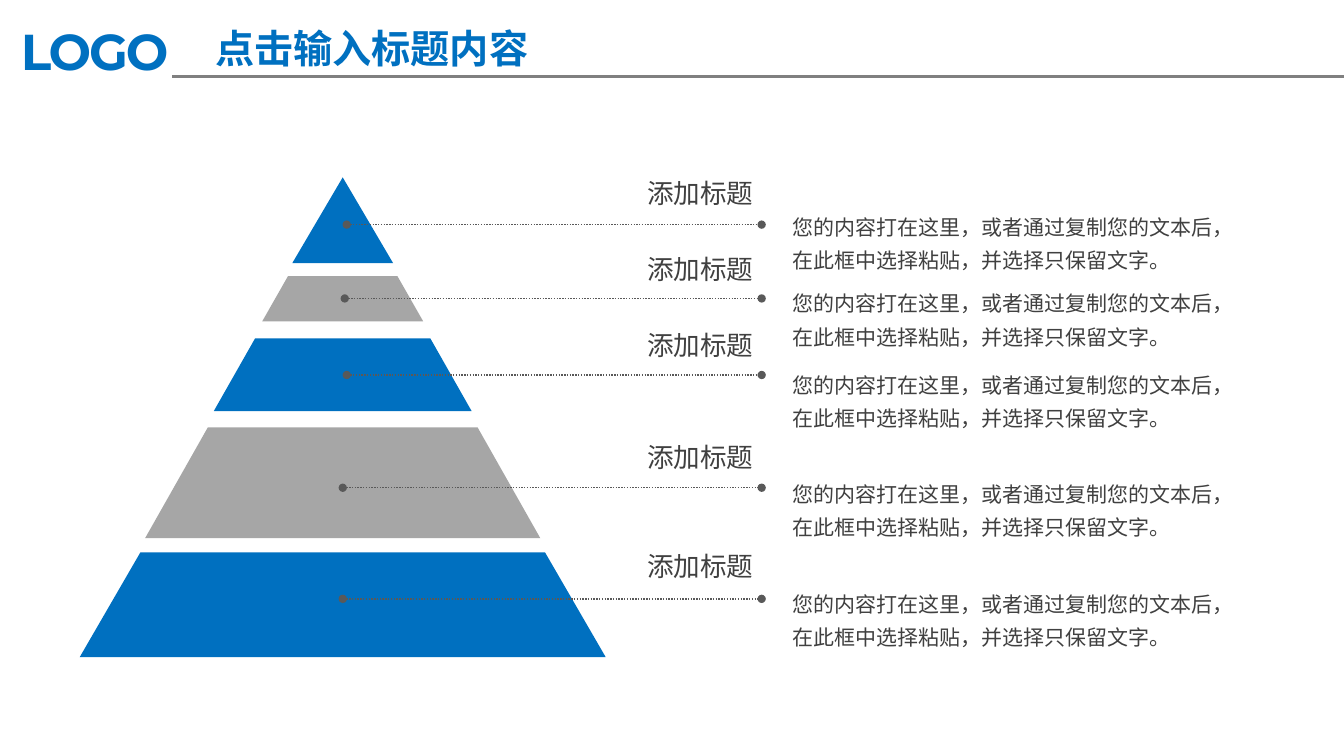
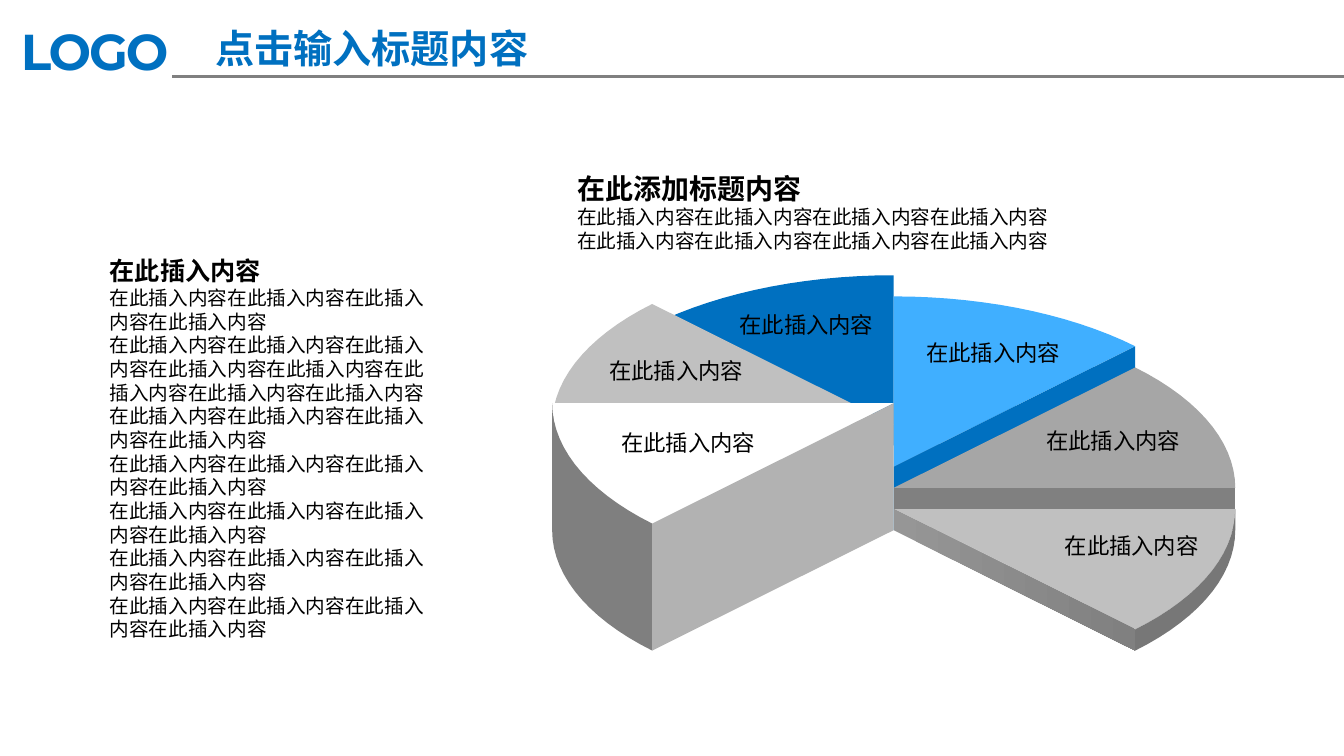
from math import cos, radians, sin

from lxml.etree import SubElement
from pptx import Presentation
from pptx.dml.color import RGBColor
from pptx.enum.dml import MSO_LINE
from pptx.enum.shapes import MSO_CONNECTOR, MSO_SHAPE
from pptx.enum.text import MSO_AUTO_SIZE, PP_ALIGN
from pptx.oxml.ns import qn
from pptx.util import Cm, Pt

# Shared style
SANS = "Noto Sans CJK SC"
BLUE, GREY, DARK, BLACK = "0070C0", "A6A6A6", "404040", "000000"
WIDE, HIGH = 33.88, 19.05
TITLE = "点击输入标题内容"

# Pyramid content: top, bottom, half width at top and bottom, (cm)
# then line start and height, label top, note top
LABEL = "添加标题"
NOTE = "您的内容打在这里，或者通过复制您的文本后，在此框中选择粘贴，并选择只保留文字。"
MID = 8.64
TIERS = [
    (4.47, 6.63, 0, 1.27, 8.74, 5.66, 4.32, 5.08),
    (6.96, 8.10, 1.38, 2.03, 8.69, 7.52, 6.25, 7.01),
    (8.53, 10.36, 2.21, 3.25, 8.74, 9.45, 8.15, 9.07),
    (10.77, 13.56, 3.40, 4.98, 8.64, 12.29, 10.97, 11.81),
    (13.92, 16.56, 5.10, 6.63, 8.64, 15.09, 13.72, 14.58),
]

# Stair pie content, from the highest slice to the lowest:
# top colour, side wall (colour and angle), rim colour, label centre and top
ITEM = "在此插入内容"
SLICES = [
    ("FFFFFF", ("B2B2B2", 225), "7F7F7F", 17.35, 10.67),
    ("C0C0C0", None, None, 17.05, 8.86),
    (BLUE, None, None, 20.33, 7.72),
    ("40AFFF", (BLUE, 45), None, 25.04, 8.41),
    (GREY, ("808080", 0), None, 28.06, 10.62),
    ("C0C0C0", (("969696", "808080"), -45), "777777", 28.53, 13.28),
]
PIE_X, RAD_X, RAD_Y = 22.53, 8.61, 4.29
PEAK, BASE, TURN = 10.16, 13.36, 45
HEAD = "在此添加标题内容"
HEAD_ROWS = [ITEM * 4] * 2
SIDE_ROWS = [ITEM * n for n in (4, 8, 4, 4, 4, 4, 4)]


def tint(code):
    return RGBColor.from_string(code)


def write(frame, *lines, size=16, color=BLACK, bold=False, font=SANS,
          align=PP_ALIGN.LEFT, lead=1, track=None):
    """Add each line as a paragraph, filling the empty first one."""
    for line in lines:
        para = frame.paragraphs[0]
        if para.runs:
            para = frame.add_paragraph()
        para.alignment = align
        para.line_spacing = Pt(round(size * 1.21 * lead, 1))
        para.space_before = Pt(0)
        run = para.add_run()
        run.text = line
        run.font.size = Pt(size)
        run.font.bold = bold
        run.font.name = font
        run.font.color.rgb = tint(color)
        props = run._r.get_or_add_rPr()
        SubElement(props, qn("a:ea")).set("typeface", font)
        if track:
            props.set("spc", str(track))


def place(shape, left, top, width, height):
    shape.left, shape.top = Cm(left), Cm(top)
    shape.width, shape.height = Cm(width), Cm(height)


def box(slide, left, top, width, height, wrap=True):
    shape = slide.shapes.add_textbox(Cm(left), Cm(top), Cm(width), Cm(height))
    shape.text_frame.word_wrap = wrap
    return shape


def paint(shape, fill):
    """Fill with one colour, or with a left-to-right pair."""
    shape.shadow.inherit = False
    shape.line.fill.background()
    if isinstance(fill, tuple):
        shape.fill.gradient()
        shape.fill.gradient_angle = 0
        for stop, code in zip(shape.fill.gradient_stops, fill):
            stop.color.rgb = tint(code)
    else:
        shape.fill.solid()
        shape.fill.fore_color.rgb = tint(fill)


def outline(slide, points, fill):
    spots = [(Cm(x), Cm(y)) for x, y in points]
    form = slide.shapes.build_freeform(*spots[0])
    form.add_line_segments(spots[1:], close=True)
    paint(form.convert_to_shape(), fill)


def rule(slide, left, right, y, color, width, dots=False):
    line = slide.shapes.add_connector(
        MSO_CONNECTOR.STRAIGHT, Cm(left), Cm(y), Cm(right), Cm(y))
    line.line.color.rgb = tint(color)
    line.line.width = Pt(width)
    if dots:
        line.line.dash_style = MSO_LINE.ROUND_DOT
        stroke = line.line._get_or_add_ln()
        for end in ("a:headEnd", "a:tailEnd"):
            SubElement(stroke, qn(end)).set("type", "oval")
    SubElement(line.element.spPr, qn("a:effectLst"))
    return line


def brand(deck, slide):
    """Set up the master: title place, logo word and header rule."""
    master = deck.slide_master
    place(master.placeholders[0], 4.8, 0.48, 9.14, 1.45)
    logo = box(slide, 0.28, 0.38, 4.5, 1.8)
    write(logo.text_frame, "LOGO", size=36, color=BLUE, bold=True,
          font="Montserrat", track=-150)
    line = rule(slide, 4.34, WIDE, 1.93, "808080", 2)
    for number, shape in enumerate((logo, line), 20):
        shape.element.xpath(".//p:cNvPr")[0].set("id", str(number))
        master.shapes.element.append(shape.element)


def start(deck, layout):
    slide = deck.slides.add_slide(deck.slide_layouts[layout])
    write(slide.shapes.title.text_frame, TITLE, size=28, color=BLUE,
          bold=True, align=PP_ALIGN.CENTER)
    return slide


def pyramid(slide):
    # Tiers
    for i, (top, low, near, far, *_) in enumerate(TIERS):
        fill = GREY if i % 2 else BLUE
        if near:
            outline(slide, [(MID - near, top), (MID + near, top),
                            (MID + far, low), (MID - far, low)], fill)
        else:
            tip = slide.shapes.add_shape(
                MSO_SHAPE.ISOSCELES_TRIANGLE, Cm(MID - far), Cm(top),
                Cm(2 * far), Cm(low - top))
            paint(tip, fill)
    # Leader lines, labels and notes
    for *_, left, y, label, note in TIERS:
        rule(slide, left, 19.2, y, "595959", 1, dots=True)
        name = box(slide, 16.03, label, 3.25, 1.09, wrap=False)
        write(name.text_frame, LABEL, size=19, color=DARK,
              align=PP_ALIGN.CENTER)
        text = box(slide, 19.74, note, 11.23, 1.93)
        write(text.text_frame, NOTE, size=15, color=DARK, lead=1.3)


def rim(angle, y):
    turn = radians(angle)
    return PIE_X + RAD_X * cos(turn), y - RAD_Y * sin(turn)


def arc(first, y):
    return [rim(first + step, y) for step in range(0, TURN + 1, 3)]


def stairs(slide):
    # Slices, from the back pair to the front pair
    count = len(SLICES)
    drop = (BASE - PEAK) / count
    for k in sorted(range(count), key=lambda k: abs(k - (count - 1) / 2)):
        fill, wall, edge, *_ = SLICES[k]
        top, first = PEAK + k * drop, 180 - k * TURN
        outline(slide, [(PIE_X, top)] + arc(first, top), fill)
        if edge:
            outline(slide, arc(first, top) + arc(first, BASE)[::-1], edge)
        if wall:
            shade, angle = wall
            outline(slide, [(PIE_X, top), rim(angle, top),
                            rim(angle, BASE), (PIE_X, BASE)], shade)
    # Slice labels
    for *_, x, y in SLICES:
        name = box(slide, x - 2.15, y, 4.3, 0.94)
        write(name.text_frame, ITEM, align=PP_ALIGN.CENTER)


def story(slide):
    # Heading above the pie
    frame = box(slide, 14.3, 3.33, 12.47, 3.18).text_frame
    write(frame, HEAD, size=20, bold=True, lead=2)
    write(frame, *HEAD_ROWS, size=14)
    # Column at the left
    body = slide.placeholders[1]
    place(body, 2.51, 5.54, 8.61, 11.38)
    frame = body.text_frame
    frame.auto_size = MSO_AUTO_SIZE.NONE
    write(frame, ITEM, size=18, bold=True, lead=2)
    write(frame, *SIDE_ROWS, size=14)
    for para in frame.paragraphs:
        props = para._p.get_or_add_pPr()
        props.set("marL", "0")
        props.set("indent", "0")
        SubElement(props, qn("a:buNone"))


def main():
    deck = Presentation()
    deck.slide_width, deck.slide_height = Cm(WIDE), Cm(HIGH)
    slide = start(deck, 5)
    brand(deck, slide)
    pyramid(slide)
    slide = start(deck, 1)
    stairs(slide)
    story(slide)
    deck.save("out.pptx")


if __name__ == "__main__":
    main()
